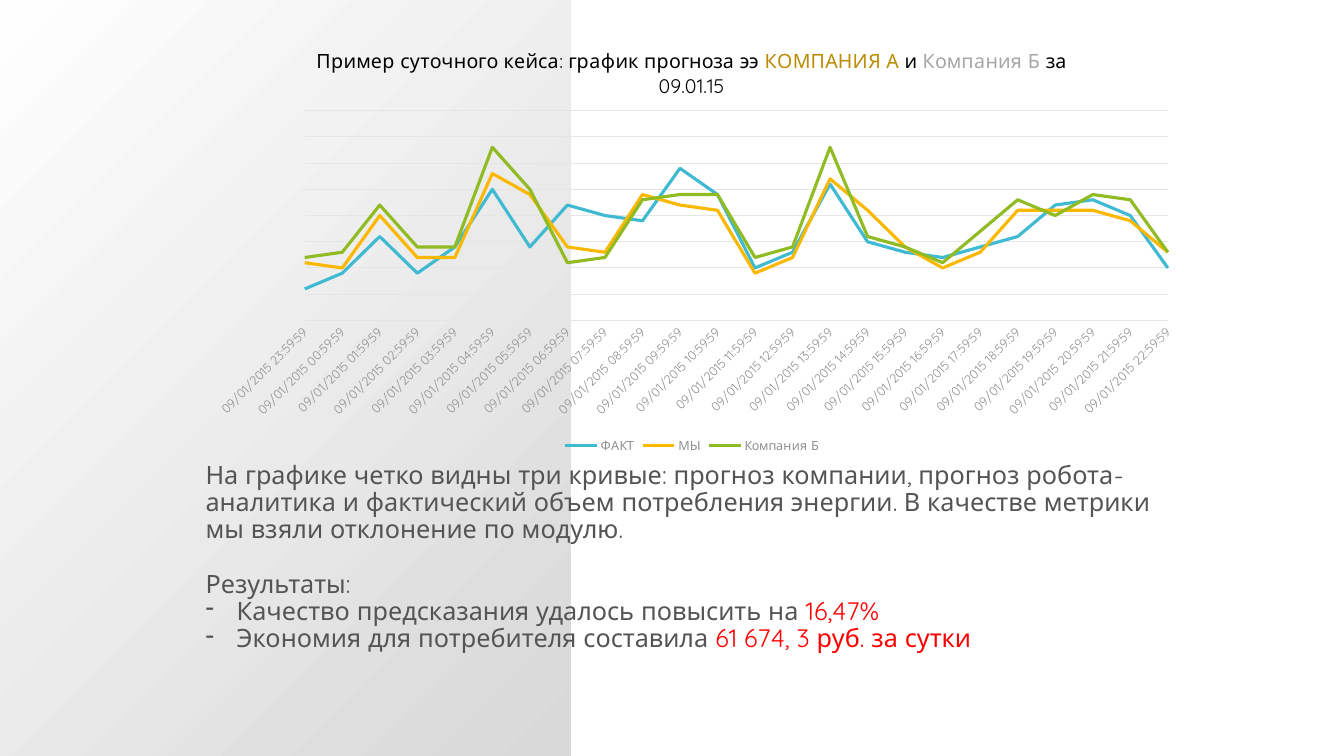
from pptx import Presentation
from pptx.chart.data import CategoryChartData
from pptx.dml.color import RGBColor
from pptx.enum.chart import XL_CHART_TYPE, XL_LEGEND_POSITION, XL_MARKER_STYLE, XL_TICK_MARK
from pptx.enum.shapes import MSO_SHAPE
from pptx.enum.text import MSO_AUTO_SIZE
from pptx.oxml import parse_xml
from pptx.oxml.ns import nsdecls, qn
from pptx.util import Inches, Pt

RECTANGLE = MSO_SHAPE.RECTANGLE
LINE = XL_CHART_TYPE.LINE
LEGEND_BOTTOM = XL_LEGEND_POSITION.BOTTOM
NO_MARKER = XL_MARKER_STYLE.NONE
NO_TICK = XL_TICK_MARK.NONE
GROW = MSO_AUTO_SIZE.SHAPE_TO_FIT_TEXT

FONT = "Quicksand"
DARK, MUTED, GRID, RED, BLACK = "545454", "909090", "E5E5E5", "FF0000", "000000"
SERIES = [
    ("ФАКТ", "40BAD2", [73, 76, 83, 76, 81, 92, 81, 89, 87, 86, 96, 91,
                        77, 80, 93, 82, 80, 79, 81, 83, 89, 90, 87, 77]),
    ("МЫ", "FAB900", [78, 77, 87, 79, 79, 95, 91, 81, 80, 91, 89, 88,
                      76, 79, 94, 88, 81, 77, 80, 88, 88, 88, 86, 80]),
    ("Компания Б", "90BB23", [79, 80, 89, 81, 81, 100, 92, 78, 79, 90, 91, 91,
                              79, 81, 100, 83, 81, 78, 84, 90, 87, 91, 90, 80]),
]
HOURS = [f"09/01/2015 {(23 + step) % 24:02}:59:59" for step in range(24)]
TITLE = [
    ("Пример суточного кейса: график прогноза ээ ", BLACK),
    ("КОМПАНИЯ А", "BB8B00"),
    (" и ", BLACK),
    ("Компания Б", "A6A6A6"),
    (" за 09.01.15", BLACK),
]
BODY = [
    ([("На графике четко видны три кривые: прогноз компании, прогноз робота-аналитика "
       "и фактический объем потребления энергии. В качестве метрики мы взяли "
       "отклонение по модулю.", DARK)], 0, False),
    ([("Результаты:", DARK)], 19.5, False),
    ([("Качество предсказания удалось повысить на ", DARK), ("16,47%", RED)], 0, True),
    ([("Экономия для потребителя составила ", DARK),
      ("61 674, 3 руб. за сутки", RED)], 0, True),
]


def paint(color_format, value):
    color_format.rgb = RGBColor.from_string(value)


def style_font(font, size, color):
    formats = {"name": FONT, "size": Pt(size), "bold": False}
    for name, value in formats.items():
        setattr(font, name, value)
    paint(font.color, color)


def add_spans(para, spans, size):
    for text, color in spans:
        span = para.add_run()
        span.text = text
        style_font(span.font, size, color)


def add_backdrop(page, left, top, width, height):
    panel = page.shapes.add_shape(RECTANGLE, left, top, width, height)
    panel.shadow.inherit = False
    panel.line.fill.background()
    panel.fill.background()
    gradient = parse_xml(
        f'<a:gradFill {nsdecls("a")} rotWithShape="1"><a:gsLst>'
        '<a:gs pos="0"><a:srgbClr val="D9D9D9"/></a:gs>'
        '<a:gs pos="100000"><a:srgbClr val="FFFFFF"><a:alpha val="89000"/></a:srgbClr></a:gs>'
        '</a:gsLst><a:path path="circle"><a:fillToRect l="100000" t="100000"/></a:path>'
        '</a:gradFill>')
    properties = panel.element.spPr
    properties.replace(properties.find(qn("a:noFill")), gradient)


def place_plot(chart, left, top, width, height):
    plot_area = chart.element.find(".//" + qn("c:plotArea"))
    for layout in plot_area.findall(qn("c:layout")):
        plot_area.remove(layout)
    plot_area.insert(0, parse_xml(
        f'<c:layout {nsdecls("c")}><c:manualLayout><c:layoutTarget val="inner"/>'
        '<c:xMode val="edge"/><c:yMode val="edge"/>'
        f'<c:x val="{left}"/><c:y val="{top}"/><c:w val="{width}"/><c:h val="{height}"/>'
        '</c:manualLayout></c:layout>'))
    value_axis = plot_area.find(qn("c:valAx"))
    for crossing in value_axis.findall(qn("c:crossBetween")):
        value_axis.remove(crossing)
    value_axis.find(qn("c:crosses")).addnext(
        parse_xml(f'<c:crossBetween {nsdecls("c")} val="midCat"/>'))


def style_axes(chart):
    hours = chart.category_axis
    hours.major_tick_mark = hours.minor_tick_mark = NO_TICK
    style_font(hours.tick_labels.font, 9, MUTED)
    hours.tick_labels.font._element.getparent().getparent().getparent().find(
        qn("a:bodyPr")).set("rot", "-2700000")
    values = chart.value_axis
    formats = {"minimum_scale": 67, "maximum_scale": 107, "major_unit": 5,
               "has_major_gridlines": True, "visible": False}
    for name, value in formats.items():
        setattr(values, name, value)
    for line in (hours.format.line, values.major_gridlines.format.line):
        line.width = Pt(0.75)
        paint(line.color, GRID)


def add_forecast_chart(page, left, top, width, height):
    data = CategoryChartData()
    data.categories = HOURS
    for name, _, values in SERIES:
        data.add_series(name, values)
    chart = page.shapes.add_chart(LINE, left, top, width, height, data).chart
    style_font(chart.font, 10, DARK)
    place_plot(chart, 0.11, 0.19, 0.87, 0.49)
    style_axes(chart)
    chart.has_title = True
    add_spans(chart.chart_title.text_frame.paragraphs[0], TITLE, 14)
    chart.chart_title.include_in_layout = False
    chart.has_legend = True
    chart.legend.position = LEGEND_BOTTOM
    chart.legend.include_in_layout = False
    style_font(chart.legend.font, 9, MUTED)
    chart.plots[0].vary_by_categories = False
    for series, (_, color, _) in zip(chart.plots[0].series, SERIES):
        series.smooth = False
        series.marker.style = NO_MARKER
        series.format.line.width = Pt(2.25)
        paint(series.format.line.color, color)


def add_summary(page, left, top, width, height):
    box = page.shapes.add_textbox(left, top, width, height)
    frame = box.text_frame
    frame.word_wrap = True
    frame.auto_size = GROW
    for index, (spans, gap, bulleted) in enumerate(BODY):
        para = frame.add_paragraph() if index else frame.paragraphs[0]
        para.line_spacing = 0.9
        para.space_before = Pt(gap)
        add_spans(para, spans, 18)
        if bulleted:
            properties = para._p.get_or_add_pPr()
            properties.set("marL", str(Inches(0.31)))
            properties.set("indent", str(-Inches(0.31)))
            properties.append(parse_xml(f'<a:buChar {nsdecls("a")} char="-"/>'))


def main():
    deck = Presentation()
    deck.slide_width, deck.slide_height = Inches(13.33), Inches(7.5)
    page = deck.slides.add_slide(deck.slide_layouts[6])
    add_backdrop(page, 0, 0, Inches(5.66), deck.slide_height)
    left, width = Inches(1.94), Inches(9.84)
    add_forecast_chart(page, left, Inches(0.29), width, Inches(4.25))
    add_summary(page, left, Inches(4.54), width, Inches(2.28))
    deck.save("out.pptx")


if __name__ == "__main__":
    main()
